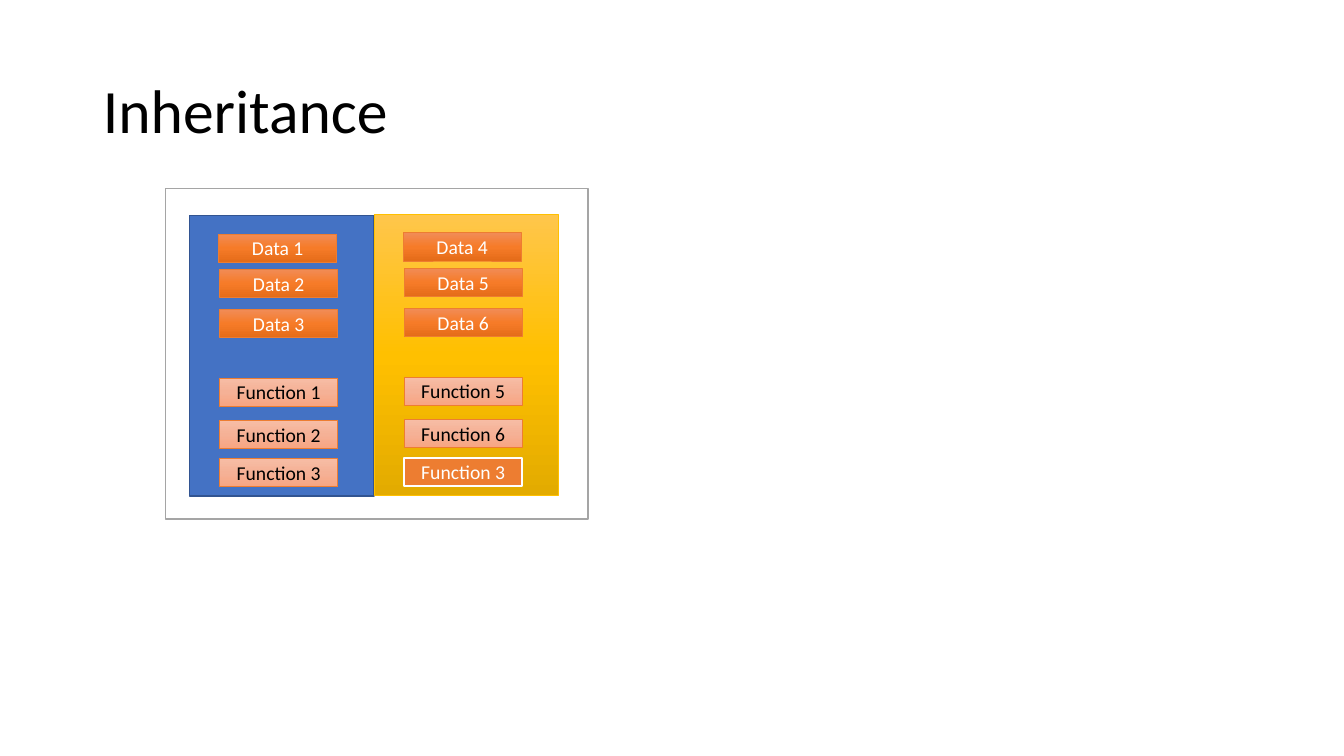
"""Builds the Inheritance slide: a base class beside its derived class."""
from copy import deepcopy

from pptx import Presentation
from pptx.dml.color import RGBColor
from pptx.enum.shapes import MSO_SHAPE
from pptx.enum.text import MSO_ANCHOR, PP_ALIGN
from pptx.oxml.ns import qn
from pptx.util import Inches, Pt

WHITE, BLACK, ORANGE, GOLD = "FFFFFF", "000000", "ED7D31", "FFC000"
DATA_FILL = ("F18C57", "F67B28", "E56C19")
FUNCTION_FILL = ("F7BDA5", "F5B196", "F8A582")
DERIVED_FILL = ("FFC64B", GOLD, "E3AB00")
DATA = (DATA_FILL, ORANGE, 0.5, WHITE)
FUNCTION = (FUNCTION_FILL, ORANGE, 0.5, BLACK)
OVERRIDE = (ORANGE, WHITE, 1.5, WHITE)


def color(value):
    return RGBColor.from_string(value)


class Deck:
    font = "Calibri"

    def __init__(self, presentation):
        self.slide = presentation.slides.add_slide(presentation.slide_layouts[5])

    def add_text(self, frame, text, size, text_color, alignment):
        frame.word_wrap = True
        frame.vertical_anchor = MSO_ANCHOR.MIDDLE
        paragraph = frame.paragraphs[0]
        paragraph.alignment = alignment
        run = paragraph.add_run()
        run.text = text
        run.font.name = self.font
        run.font.size = Pt(size)
        run.font.color.rgb = color(text_color)
        return paragraph

    def title(self, text):
        shape = self.slide.shapes.title
        shape.left, shape.top = Inches(0.92), Inches(0.4)
        shape.width, shape.height = Inches(11.5), Inches(1.45)
        paragraph = self.add_text(shape.text_frame, text, 44, BLACK, PP_ALIGN.LEFT)
        paragraph.line_spacing = 0.9

    def gradient(self, shape, colors):
        shape.fill.gradient()
        shape.fill.gradient_angle = 270
        stop_list = next(shape.element.iter(qn("a:gsLst")))
        stop_list.insert(1, deepcopy(stop_list[0]))
        for index, (stop, value) in enumerate(zip(shape.fill.gradient_stops, colors)):
            stop.position = index / 2
            stop.color.rgb = color(value)

    def box(self, left, top, width, height, fill, line, line_width):
        shape = self.slide.shapes.add_shape(
            MSO_SHAPE.RECTANGLE, Inches(left), Inches(top), Inches(width), Inches(height))
        shape.shadow.inherit = False
        if isinstance(fill, tuple):
            self.gradient(shape, fill)
        else:
            shape.fill.solid()
            shape.fill.fore_color.rgb = color(fill)
        shape.line.color.rgb = color(line)
        shape.line.width = Pt(line_width)
        return shape

    def member(self, left, top, text, style):
        fill, line, line_width, text_color = style
        shape = self.box(left, top, 1.17, 0.28, fill, line, line_width)
        self.add_text(shape.text_frame, text, 14, text_color, PP_ALIGN.CENTER)

    def class_panel(self, left, top, fill, line, line_width, members):
        self.box(left, top, 1.83, 2.78, fill, line, line_width)
        offsets = (0.18, 0.53, 0.93, 1.61, 2.03, 2.41)
        for index, (offset, (text, style)) in enumerate(zip(offsets, members)):
            indent = 0.3 if index else 0.29
            self.member(left + indent, top + offset, text, style)


presentation = Presentation()
presentation.slide_width, presentation.slide_height = Inches(13.33), Inches(7.5)
deck = Deck(presentation)
deck.title("Inheritance")
deck.box(1.64, 1.87, 4.19, 3.28, WHITE, "A5A5A5", 1)

base_members = [(f"Data {number}", DATA) for number in (1, 2, 3)]
base_members += [(f"Function {number}", FUNCTION) for number in (1, 2, 3)]
derived_members = [(f"Data {number}", DATA) for number in (4, 5, 6)]
derived_members += [(f"Function {number}", FUNCTION) for number in (5, 6)]
derived_members.append(("Function 3", OVERRIDE))

deck.class_panel(1.88, 2.14, "4472C4", "325491", 1, base_members)
deck.class_panel(3.71, 2.13, DERIVED_FILL, GOLD, 0.5, derived_members)
presentation.save("out.pptx")
